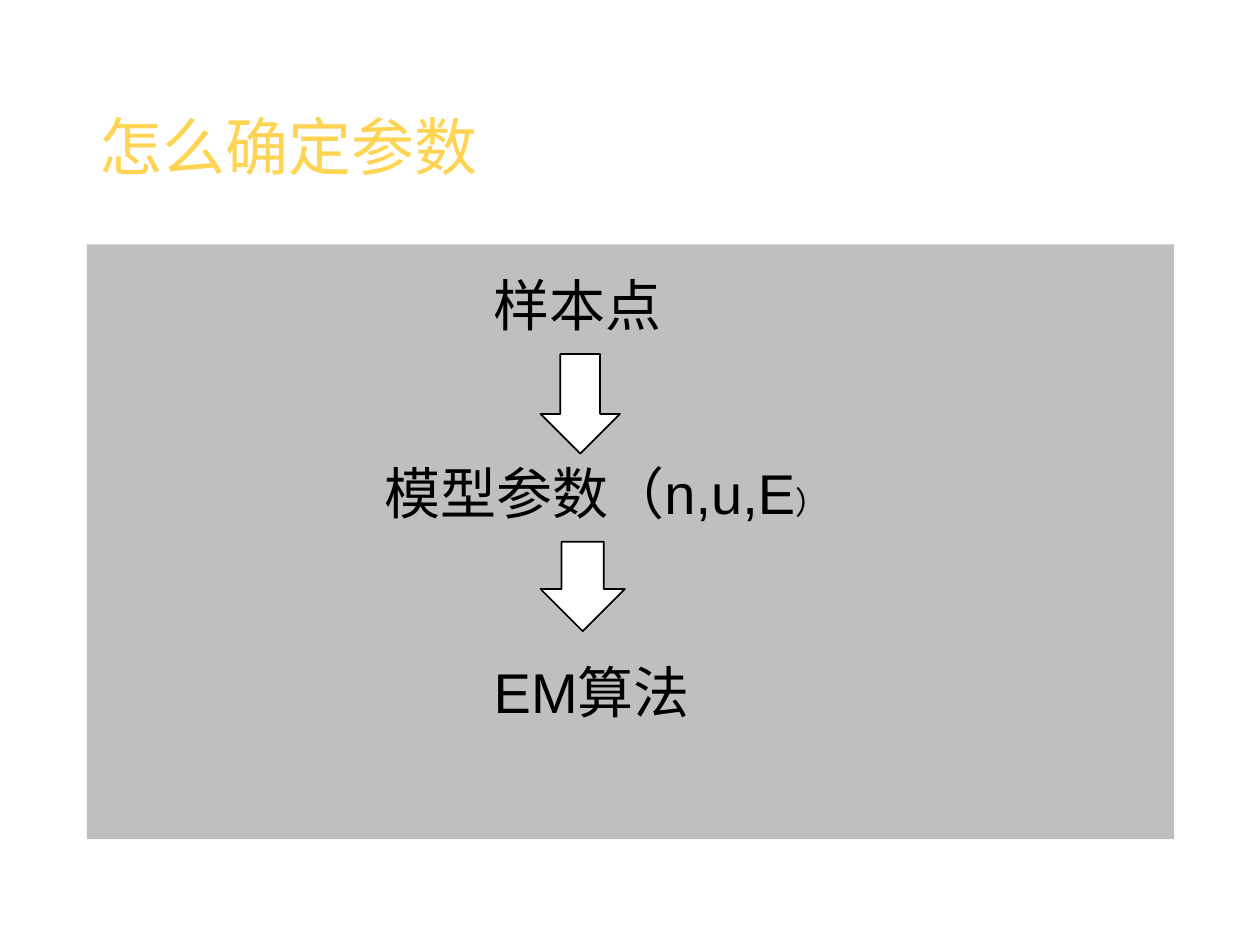
import pptx
import pptx.util
import pptx.dml.color
import pptx.enum.shapes
import pptx.enum.text
import pptx.oxml.ns
from lxml import etree

Inches = pptx.util.Inches
Pt = pptx.util.Pt
RGBColor = pptx.dml.color.RGBColor
Shapes = pptx.enum.shapes.MSO_SHAPE

GOLD = RGBColor(0xFF, 0xD4, 0x52)
BLACK = RGBColor(0, 0, 0)
WHITE = RGBColor(0xFF, 0xFF, 0xFF)
FONT = "Arial"


def place(shape, left, top, width, height):
    shape.left, shape.top = Inches(left), Inches(top)
    shape.width, shape.height = Inches(width), Inches(height)


def add_span(para, text, size, color):
    span = para.add_run()
    span.text = text
    span.font.name = FONT
    span.font.size = Pt(size)
    span.font.color.rgb = color


def set_title(page, text):
    title = page.shapes.title
    place(title, 0.69, 0.68, 8.63, 0.94)
    title.text_frame.vertical_anchor = pptx.enum.text.MSO_ANCHOR.MIDDLE
    para = title.text_frame.paragraphs[0]
    para.alignment = pptx.enum.text.PP_ALIGN.LEFT
    add_span(para, text, 36, GOLD)


def add_filled(page, kind, bounds, color):
    shape = page.shapes.add_shape(kind, *map(Inches, bounds))
    shape.shadow.inherit = False
    shape.fill.solid()
    shape.fill.fore_color.rgb = color
    return shape


def add_panel(page, bounds, opacity):
    panel = add_filled(page, Shapes.RECTANGLE, bounds, BLACK)
    panel.line.fill.background()
    qn = pptx.oxml.ns.qn
    color = panel.fill._xPr.find(qn("a:solidFill")).find(qn("a:srgbClr"))
    etree.SubElement(color, qn("a:alpha"), val=str(opacity * 1000))


def add_down_arrow(page, bounds):
    arrow = add_filled(page, Shapes.DOWN_ARROW, bounds, WHITE)
    arrow.line.color.rgb = BLACK
    arrow.line.width = Pt(1)


def add_step(page, left, top, width, spans):
    box = page.shapes.add_textbox(*map(Inches, (left, top, width, 0.64)))
    box.text_frame.word_wrap = True
    for text, size in spans:
        add_span(box.text_frame.paragraphs[0], text, size, BLACK)


def main():
    deck = pptx.Presentation()
    deck.slide_width, deck.slide_height = Inches(10), Inches(7.5)
    page = deck.slides.add_slide(deck.slide_layouts[5])
    set_title(page, "怎么确定参数")
    add_panel(page, (0.69, 1.94, 8.63, 4.72), 25)
    add_step(page, 3.82, 2.1, 1.91, [("样本点", 32)])
    add_down_arrow(page, (4.29, 2.81, 0.63, 0.79))
    add_step(page, 2.95, 3.59, 4.08, [("模型参数（n,u,E", 32), ("）", 18)])
    add_down_arrow(page, (4.29, 4.3, 0.67, 0.71))
    add_step(page, 3.82, 5.17, 2.59, [("EM算法", 32)])
    deck.save("out.pptx")


if __name__ == "__main__":
    main()
